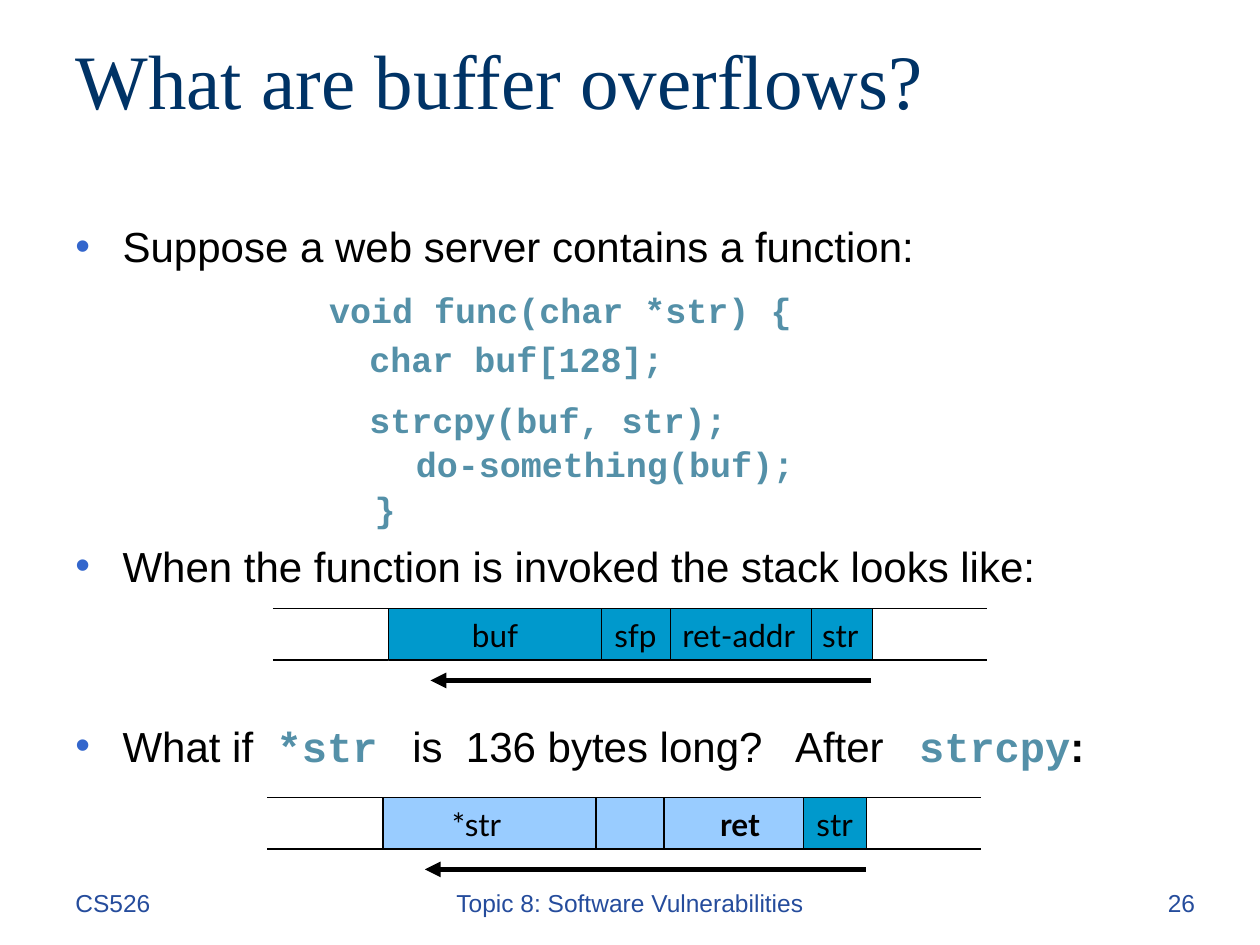
from lxml import etree
from pptx import Presentation
from pptx.dml.color import RGBColor
from pptx.enum import shapes, text
from pptx.oxml import ns
from pptx.util import Pt

COLORS = {
    "black": "000000",
    "title": "003366",
    "footer": "254C9C",
    "bullet": "3366CC",
    "code": "5490A8",
    "intact": "0099CC",
    "overwritten": "99CCFF",
}
ALIGN = text.PP_ALIGN
ANCHOR = text.MSO_ANCHOR
CODE = dict(font="Courier New", color="code", bold=True)
BODY = dict(font="Arial", size=24)
CELL = dict(font="Lato", size=18)
STACK_WIDTH = 276
STACK_HEIGHT = 29.4
RAIL_LENGTH = 66


def rgb(name):
    return RGBColor.from_string(COLORS[name])


def add_text(paragraph, content, font="Arial", size=24, color="black", bold=False):
    run = paragraph.add_run()
    run.text = content
    run.font.name = font
    run.font.size = Pt(size)
    run.font.bold = bold
    run.font.color.rgb = rgb(color)


def add_box(slide, left, top, width, height, wrap=True):
    box = slide.shapes.add_textbox(Pt(left), Pt(top), Pt(width), Pt(height))
    box.text_frame.word_wrap = wrap
    return box.text_frame


def add_line(slide, start, end, width=0.75, arrow=False):
    line = slide.shapes.add_connector(
        shapes.MSO_CONNECTOR.STRAIGHT, *(Pt(value) for value in start + end))
    line.line.color.rgb = rgb("black")
    line.line.width = Pt(width)
    if arrow:
        etree.SubElement(line.line._get_or_add_ln(), ns.qn("a:tailEnd"), type="triangle")
    etree.SubElement(line._element.spPr, ns.qn("a:effectLst"))


def add_title(slide, content):
    title = slide.shapes.title
    title.left, title.top, title.width, title.height = Pt(36), Pt(0), Pt(648), Pt(90)
    title.text_frame.vertical_anchor = ANCHOR.MIDDLE
    paragraph = title.text_frame.paragraphs[0]
    paragraph.alignment = ALIGN.LEFT
    add_text(paragraph, content, font="Times New Roman", size=44, color="title")


def add_footer(slide, content, left, width, alignment):
    paragraph = add_box(slide, left, 504, width, 36).paragraphs[0]
    paragraph.alignment = alignment
    add_text(paragraph, content, size=14, color="footer")


def next_paragraph(frame, space, margin, indent=0):
    first = frame.paragraphs[0]
    paragraph = frame.add_paragraph() if first.runs else first
    paragraph.space_before = Pt(space)
    properties = paragraph._p.get_or_add_pPr()
    properties.set("marL", str(Pt(margin)))
    properties.set("indent", str(Pt(indent)))
    return paragraph


def add_bullet(frame, space, *runs):
    paragraph = next_paragraph(frame, space, 27, -27)
    properties = paragraph._p.get_or_add_pPr()
    color = etree.SubElement(properties, ns.qn("a:buClr"))
    etree.SubElement(color, ns.qn("a:srgbClr"), val=COLORS["bullet"])
    etree.SubElement(properties, ns.qn("a:buFont"), typeface="Arial")
    etree.SubElement(properties, ns.qn("a:buChar"), char="•")
    for content, style in runs:
        add_text(paragraph, content, **style)


def add_code(frame, lines):
    for content, space, margin in lines:
        add_text(next_paragraph(frame, space, margin), content, size=20, **CODE)


def add_body(slide):
    frame = add_box(slide, 36, 120.2, 654, 324)
    frame.margin_top = Pt(6)
    add_bullet(frame, 0, ("Suppose a web server contains a function:", BODY))
    add_code(frame, [
        ("void func(char *str) {", 10, 145),
        ("char buf[128];", 3.6, 168),
        ("strcpy(buf, str);", 11, 168),
        ("do-something(buf);", 1.5, 194.5),
        ("}", 1.5, 171),
    ])
    add_bullet(frame, 6, ("When the function is invoked the stack looks like:", BODY))
    add_bullet(
        frame, 74,
        ("What if  ", BODY),
        ("*str", CODE),
        ("   is  136 bytes long?   After   ", BODY),
        ("strcpy", CODE),
        (":", dict(BODY, bold=True)))


def add_cell(slide, content, left, top, width, fill="intact", text_inset=None):
    cell = slide.shapes.add_shape(
        shapes.MSO_SHAPE.RECTANGLE, Pt(left), Pt(top), Pt(width), Pt(STACK_HEIGHT))
    cell.shadow.inherit = False
    cell.fill.solid()
    cell.fill.fore_color.rgb = rgb(fill)
    cell.line.color.rgb = rgb("black")
    cell.line.width = Pt(0.75)
    frame = cell.text_frame
    frame.word_wrap = False
    frame.vertical_anchor = ANCHOR.MIDDLE
    paragraph = frame.paragraphs[0]
    paragraph.alignment = ALIGN.CENTER
    if text_inset is not None:
        paragraph.alignment = ALIGN.LEFT
        frame.margin_left = Pt(text_inset)
    add_text(paragraph, content, **CELL)


def add_stack(slide, left, top, cells):
    right = left + STACK_WIDTH
    for content, offset, width, style in cells:
        add_cell(slide, content, left + offset, top, width, **style)
    for y in (top, top + STACK_HEIGHT):
        add_line(slide, (left - RAIL_LENGTH, y), (left, y))
        add_line(slide, (right, y), (right + RAIL_LENGTH, y))
    arrow_y = top + 41
    add_line(slide, (right, arrow_y), (left + 24, arrow_y), width=3, arrow=True)


def add_overwritten_stack(slide, left, top):
    add_stack(slide, left, top, [
        ("str", 239.8, 36.7, {}),
        ("*str", 0, 240.5, dict(fill="overwritten", text_inset=39.5)),
    ])
    for offset in (121.7, 160.6):
        add_line(slide, (left + offset, top), (left + offset, top + STACK_HEIGHT))
    frame = add_box(slide, left + 183.6, top, 41, STACK_HEIGHT, wrap=False)
    frame.vertical_anchor = ANCHOR.MIDDLE
    frame.paragraphs[0].alignment = ALIGN.CENTER
    add_text(frame.paragraphs[0], "ret", bold=True, **CELL)


def main():
    presentation = Presentation()
    presentation.slide_width, presentation.slide_height = Pt(720), Pt(540)
    slide = presentation.slides.add_slide(presentation.slide_layouts[5])
    add_title(slide, "What are buffer overflows?")
    add_body(slide)
    add_footer(slide, "CS526", 36, 150, ALIGN.LEFT)
    add_footer(slide, "Topic 8: Software Vulnerabilities", 246, 228, ALIGN.CENTER)
    add_footer(slide, "26", 540, 150, ALIGN.RIGHT)
    add_stack(slide, 222, 347.8, [
        ("str", 239.8, 36.7, {}),
        ("ret-addr", 158.4, 83.5, {}),
        ("sfp", 121, 40.3, {}),
        ("buf", 0, 121.7, {}),
    ])
    add_overwritten_stack(slide, 218.8, 455.8)
    presentation.save("out.pptx")


if __name__ == "__main__":
    main()
